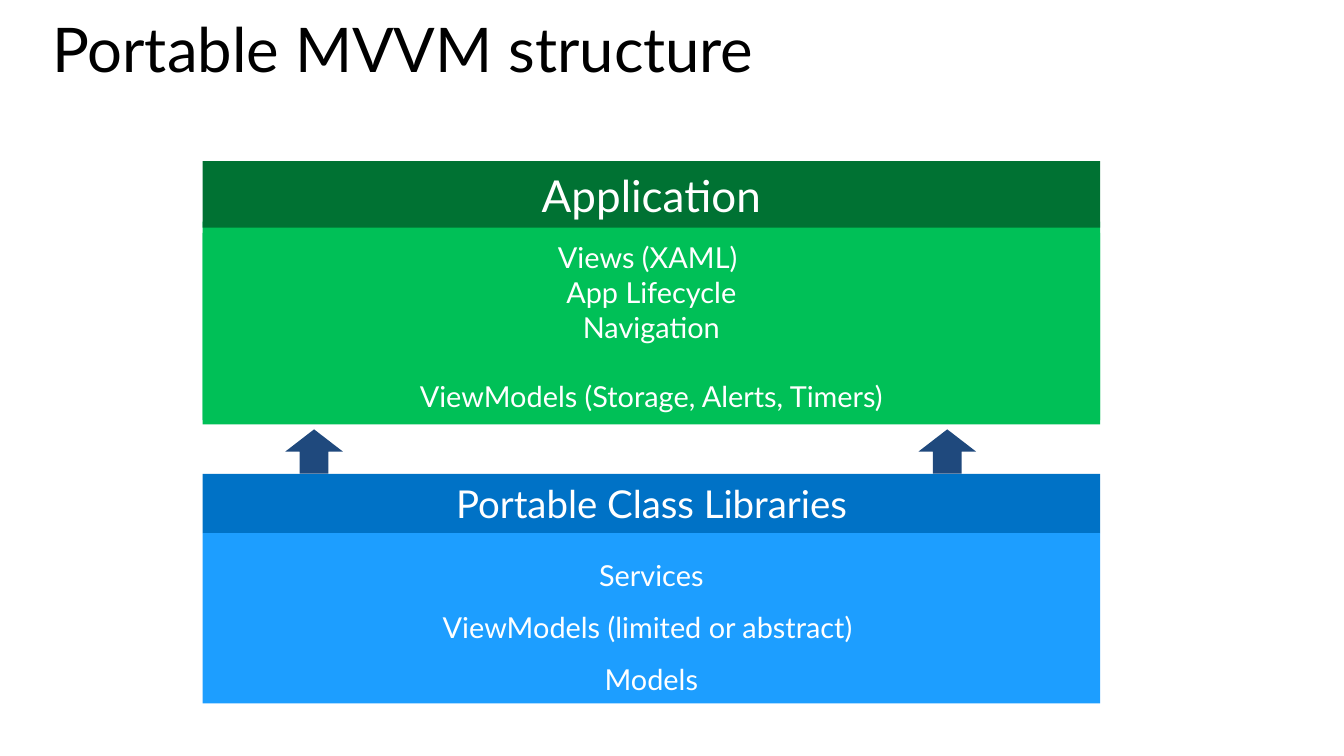
from pptx import Presentation
from pptx.dml.color import RGBColor
from pptx.enum.shapes import MSO_SHAPE as Shape
from pptx.enum.text import MSO_ANCHOR as Anchor, PP_ALIGN as Align
from pptx.util import Inches, Pt

WHITE, BLACK, NAVY = "FFFFFF", "000000", "1F497D"
GREEN, DARK_GREEN = "00C057", "007233"
BLUE, DARK_BLUE = "1D9EFF", "0072C6"

# Percent of the slide's width
LAYER_LEFT, LAYER_WIDTH = 15.08, 66.77
ARROW_LEFTS, ARROW_WIDTH = (21.23, 68.34), 4.28
BODY_SIZE = 20.6


def color(code):
    return RGBColor.from_string(code)


class Page:
    """One slide; places and sizes are percentages of its width and height."""

    font_name = "Lato"

    def __init__(self, deck):
        self.deck = deck
        self.slide = deck.slides.add_slide(deck.slide_layouts[6])

    def area(self, left, top, width, height):
        across, down = self.deck.slide_width / 100, self.deck.slide_height / 100
        return (round(left * across), round(top * down),
                round(width * across), round(height * down))

    def set_lines(self, frame, lines, size, ink, align, spacing):
        frame.word_wrap = True
        for index, line in enumerate(lines):
            para = frame.paragraphs[0] if index == 0 else frame.add_paragraph()
            para.text = line
            para.alignment = align
            para.line_spacing = spacing
            para.font.name = self.font_name
            para.font.size = Pt(size)
            para.font.color.rgb = color(ink)

    def title(self, text, *place):
        box = self.slide.shapes.add_textbox(*self.area(*place))
        self.set_lines(box.text_frame, [text], 44, BLACK, Align.LEFT, 0.8)

    def block(self, kind, fill, *place):
        shape = self.slide.shapes.add_shape(kind, *self.area(*place))
        shape.shadow.inherit = False
        shape.fill.solid()
        shape.fill.fore_color.rgb = color(fill)
        shape.line.fill.background()
        return shape

    def band(self, fill, top, height, lines=(), size=BODY_SIZE, spacing=1.0):
        """Draw a full-width layer with centred white lines of text."""
        shape = self.block(Shape.RECTANGLE, fill, LAYER_LEFT, top, LAYER_WIDTH, height)
        frame = shape.text_frame
        frame.vertical_anchor = Anchor.MIDDLE
        frame.margin_left = frame.margin_right = Inches(0.13)
        frame.margin_top = frame.margin_bottom = Inches(0.07)
        self.set_lines(frame, lines, size, WHITE, Align.CENTER, spacing)
        return shape


def main():
    deck = Presentation()
    deck.slide_width, deck.slide_height = Inches(13.33), Inches(7.5)
    page = Page(deck)

    page.band(GREEN, 29.33, 26.8)
    page.title("Portable MVVM structure", 3.15, 2.67, 94.52, 15.47)
    page.band(DARK_BLUE, 62.67, 7.87, ["Portable Class Libraries"], 27.4)
    page.band(DARK_GREEN, 21.33, 8.8, ["Application"], 31.4)
    page.band(BLUE, 70.53, 22.53,
              ["Services", "ViewModels (limited or abstract) ", "Models"], spacing=1.5)
    application = page.band(GREEN, 30.8, 24.8, [
        "Views (XAML) ", "App Lifecycle", "Navigation",
        "ViewModels (Storage, Alerts, Timers)"])
    application.text_frame.paragraphs[-1].space_before = Pt(1.2 * BODY_SIZE)

    for left in ARROW_LEFTS:
        page.block(Shape.UP_ARROW, NAVY, left, 56.8, ARROW_WIDTH, 5.87)

    deck.save("out.pptx")


if __name__ == "__main__":
    main()
